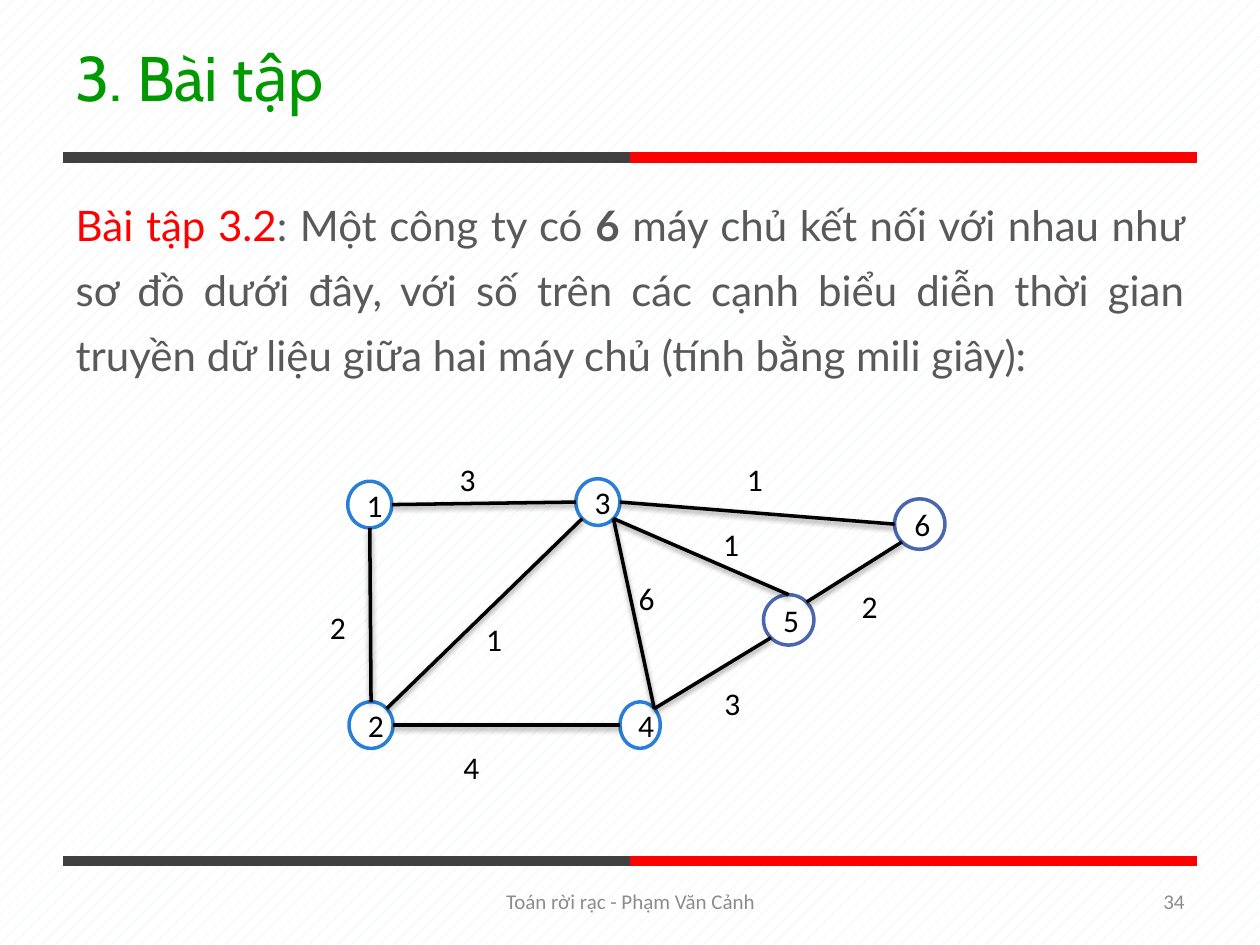
"""Build an exercise slide with a weighted graph of six connected servers."""
from math import sqrt

from lxml import etree
from pptx import Presentation
from pptx.dml.color import RGBColor
from pptx.enum.dml import MSO_PATTERN
from pptx.enum.shapes import MSO_CONNECTOR, MSO_SHAPE
from pptx.enum.text import MSO_ANCHOR, MSO_AUTO_SIZE, PP_ALIGN
from pptx.oxml.ns import qn
from pptx.util import Inches, Pt

STRAIGHT, ELLIPSE = MSO_CONNECTOR.STRAIGHT, MSO_SHAPE.OVAL
LEFT, CENTER, RIGHT, JUSTIFY = PP_ALIGN.LEFT, PP_ALIGN.CENTER, PP_ALIGN.RIGHT, PP_ALIGN.JUSTIFY
TOP, MIDDLE = MSO_ANCHOR.TOP, MSO_ANCHOR.MIDDLE
NO_FIT = MSO_AUTO_SIZE.NONE
DOTTED = MSO_PATTERN.PERCENT_10

BLACK = RGBColor(0x00, 0x00, 0x00)
WHITE = RGBColor(0xFF, 0xFF, 0xFF)
PALE_BLUE = RGBColor(0xE0, 0xEB, 0xF6)
RED = RGBColor(0xFF, 0x00, 0x00)
GREEN = RGBColor(0x00, 0x99, 0x00)
CHARCOAL = RGBColor(0x40, 0x40, 0x40)
TEXT_GRAY = RGBColor(0x59, 0x59, 0x59)
FOOTER_GRAY = RGBColor(0x8C, 0x8C, 0x8C)
BLUE = RGBColor(0x29, 0x7F, 0xD5)
INDIGO = RGBColor(0x4A, 0x66, 0xAC)

COLUMNS, ROWS = 100, 75
DIAGONAL = 1 / sqrt(2)
COMPASS = {
    "N": (0, -1), "E": (1, 0), "S": (0, 1), "W": (-1, 0),
    "NE": (DIAGONAL, -DIAGONAL), "SE": (DIAGONAL, DIAGONAL), "SW": (-DIAGONAL, DIAGONAL),
}

TITLE_FONT = {"name": "Cabin", "size": Pt(36)}
BODY_FONT = {"name": "Lato", "size": Pt(24), "bold": False}
GRAPH_FONT = {"name": "Calibri", "size": Pt(18)}
FOOTER_FONT = {"name": "Calibri", "size": Pt(12)}

SERVERS = {
    "2": (27.7, 55.7, 3.5, 3.7, BLUE),
    "3": (45.7, 38, 3.5, 3.7, BLUE),
    "1": (27.6, 38.2, 3.5, 3.7, BLUE),
    "4": (49.2, 55.7, 3.2, 3.7, BLUE),
    "5": (60.6, 47.2, 4, 4, INDIGO),
    "6": (71, 39.6, 4, 4, INDIGO),
}
LINKS = [
    ("1", "S", "2", "N", "2", 25.2, 47.8),
    ("1", "E", "3", "W", "3", 35.5, 36),
    ("4", "W", "2", "E", "4", 35.8, 58.9),
    ("3", "SE", "4", "NE", "6", 49.7, 45.5),
    ("3", "SW", "2", "NE", "1", 37.6, 48.7),
    ("5", "SW", "4", "NE", "3", 56.5, 53.8),
    ("6", "SW", "5", "NE", "2", 67.4, 46.1),
    ("3", "SE", "5", "N", "1", 56.4, 41.2),
    ("3", "E", "6", "W", "1", 58.3, 36),
]


def apply(target, values):
    """Set each named attribute of the target."""
    for name, value in values.items():
        setattr(target, name, value)


class GraphSlide:
    """Hold the grid, the style and the current slide."""

    def __init__(self, presentation):
        """Add a title and body slide with a patterned background."""
        self.column = presentation.slide_width / COLUMNS
        self.row = presentation.slide_height / ROWS
        self.slide = presentation.slides.add_slide(presentation.slide_layouts[1])
        self.shapes = self.slide.shapes
        fill = self.slide.background.fill
        fill.patterned()
        fill.pattern = DOTTED
        fill.fore_color.rgb, fill.back_color.rgb = PALE_BLUE, WHITE

    def place(self, *cells):
        """Turn alternating columns and rows into lengths."""
        return [round(cell * unit) for cell, unit in zip(cells, (self.column, self.row) * 2)]

    def set_text(self, shape, runs, font, alignment=LEFT, anchor=MIDDLE, spacing=1):
        """Fill one paragraph with (text, colour, changes) runs."""
        frame = shape.text_frame
        apply(frame, {"word_wrap": True, "vertical_anchor": anchor})
        paragraph = frame.paragraphs[0]
        apply(paragraph, {"alignment": alignment, "line_spacing": spacing, "space_before": Pt(0)})
        for text, color, changes in runs:
            run = paragraph.add_run()
            run.text = text
            apply(run.font, {**font, **changes})
            run.font.color.rgb = color

    def placeholder(self, index, box, runs, font, **layout):
        """Move and fill a template placeholder without a bullet."""
        shape = self.shapes.placeholders[index]
        apply(shape, dict(zip(("left", "top", "width", "height"), self.place(*box))))
        shape.text_frame.auto_size = NO_FIT
        properties = shape.text_frame.paragraphs[0]._p.get_or_add_pPr()
        properties.set("marL", "0")
        properties.set("indent", "0")
        etree.SubElement(properties, qn("a:buNone"))
        self.set_text(shape, runs, font, **layout)

    def label(self, text, box, font, color=BLACK, alignment=LEFT, anchor=TOP):
        """Add a plain text box."""
        shape = self.shapes.add_textbox(*self.place(*box))
        self.set_text(shape, [(text, color, {})], font, alignment, anchor)

    def line(self, start, end, color, width, shadow=False):
        """Draw a straight line, with a soft shadow if asked."""
        connector = self.shapes.add_connector(STRAIGHT, *self.place(*start, *end))
        connector.line.color.rgb = color
        connector.line.width = Pt(width)
        effects = etree.SubElement(connector._element.spPr, qn("a:effectLst"))
        if shadow:
            outer = etree.SubElement(effects, qn("a:outerShdw"), blurRad="40000", dist="20000",
                                     dir="5400000", rotWithShape="0")
            black = etree.SubElement(outer, qn("a:srgbClr"), val=str(BLACK))
            etree.SubElement(black, qn("a:alpha"), val="38000")

    def rule(self, row):
        """Draw a two-coloured rule across the slide."""
        self.line((5, row), (50, row), CHARCOAL, 5.75)
        self.line((50, row), (95, row), RED, 5.75)

    def server(self, name):
        """Draw a numbered server."""
        *box, outline = SERVERS[name]
        shape = self.shapes.add_shape(ELLIPSE, *self.place(*box))
        shape.shadow.inherit = False
        shape.fill.solid()
        shape.fill.fore_color.rgb = WHITE
        shape.line.color.rgb = outline
        shape.line.width = Pt(2)
        self.set_text(shape, [(name, BLACK, {})], GRAPH_FONT, CENTER)

    def rim(self, name, side):
        """Find the point on a server's outline in a compass direction."""
        left, top, width, height, _ = SERVERS[name]
        across, down = COMPASS[side]
        return left + width * (1 + across) / 2, top + height * (1 + down) / 2

    def link(self, first, first_side, second, second_side, weight, left, top):
        """Join two servers and label the link with its weight."""
        self.line(self.rim(first, first_side), self.rim(second, second_side), BLACK, 2, True)
        self.label(weight, (left, top, 5.9, 4), GRAPH_FONT)


def main():
    """Build and save the slide."""
    presentation = Presentation()
    apply(presentation, {"slide_width": Inches(10), "slide_height": Inches(7.5)})
    page = GraphSlide(presentation)
    for row in (12.5, 68.3):
        page.rule(row)
    page.placeholder(0, (5, 1.7, 90, 8.7), [("3. Bài tập", GREEN, {})], TITLE_FONT)
    page.placeholder(1, (5, 14.1, 90, 44.1), [
        ("Bài tập 3.2", RED, {}),
        (": Một công ty có ", TEXT_GRAY, {}),
        ("6", TEXT_GRAY, {"bold": True}),
        (" máy chủ kết nối với nhau như sơ đồ dưới đây, với số trên các cạnh biểu diễn "
         "thời gian truyền dữ liệu giữa hai máy chủ (tính bằng mili giây):", TEXT_GRAY, {}),
    ], BODY_FONT, alignment=JUSTIFY, anchor=TOP, spacing=1.3)
    page.label("Toán rời rạc - Phạm Văn Cảnh", (34.2, 69.5, 31.7, 4), FOOTER_FONT,
               FOOTER_GRAY, CENTER, MIDDLE)
    page.label("34", (71.7, 69.5, 23.3, 4), FOOTER_FONT, FOOTER_GRAY, RIGHT, MIDDLE)
    for name in SERVERS:
        page.server(name)
    for link in LINKS:
        page.link(*link)
    presentation.save("out.pptx")


if __name__ == "__main__":
    main()
